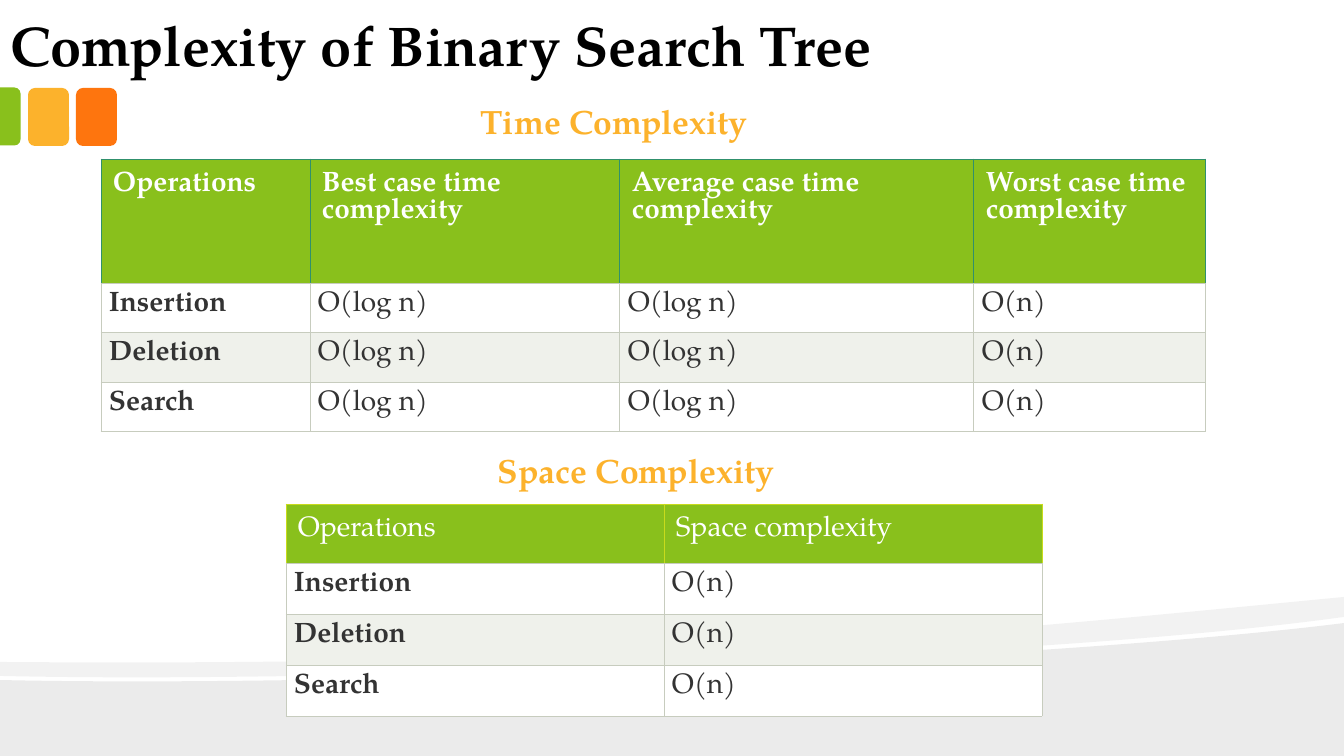
from lxml.etree import SubElement
from pptx import Presentation
from pptx.dml.color import RGBColor
from pptx.enum.shapes import MSO_SHAPE
from pptx.enum.text import MSO_ANCHOR, MSO_AUTO_SIZE, PP_ALIGN
from pptx.oxml.ns import qn
from pptx.util import Pt

SCALE = 914400 / 100.8
FONT = "TeX Gyre Pagella"
BLACK = RGBColor(0x00, 0x00, 0x00)
WHITE = RGBColor(0xFF, 0xFF, 0xFF)
GREEN = RGBColor(0x89, 0xC0, 0x1C)
AMBER = RGBColor(0xFC, 0xB2, 0x2C)
ORANGE = RGBColor(0xFE, 0x75, 0x0E)
DARK = RGBColor(0x33, 0x33, 0x33)
BAND = RGBColor(0xEF, 0xF1, 0xEB)
GRID = RGBColor(0xC7, 0xCC, 0xBE)
TEAL = RGBColor(0x30, 0x90, 0x6C)
LIME = RGBColor(0xC8, 0xDB, 0x1C)


def px(length):
    """Turn pixels into EMU."""
    return round(length * SCALE)


def paint(shape, color):
    """Give a shape a flat fill with no line or shadow."""
    shape.shadow.inherit = False
    shape.fill.solid()
    shape.fill.fore_color.rgb = color
    shape.line.fill.background()


def bend(shape, starts):
    """Turn the three segments from each start into one cubic curve."""
    lines = list(shape._element.iter(qn("a:lnTo")))
    for start in starts:
        trio = lines[start:start + 3]
        curve = SubElement(trio[0].getparent(), qn("a:cubicBezTo"))
        trio[0].addprevious(curve)
        for line in trio:
            curve.append(line[0])
            line.getparent().remove(line)


def add_wave(slide, points, starts, alpha):
    """Draw a closed outline in black, alpha percent opaque."""
    spots = [(px(x), px(y)) for x, y in points]
    pen = slide.shapes.build_freeform(*spots[0], scale=1.0)
    pen.add_line_segments(spots[1:], close=True)
    wave = pen.convert_to_shape()
    bend(wave, starts)
    paint(wave, BLACK)
    color = wave._element.spPr.find(qn("a:solidFill"))[0]
    SubElement(color, qn("a:alpha"), val=str(alpha * 1000))


def add_tab(slide, kind, box, color):
    """Add one coloured tab and return it."""
    tab = slide.shapes.add_shape(kind, *map(px, box))
    paint(tab, color)
    return tab


def style(para, size, color, bold):
    """Set the font of a paragraph."""
    font = para.font
    font.name, font.size, font.bold = FONT, Pt(size), bold
    font.color.rgb = color


def add_title(slide, text):
    """Place and format the title."""
    title = slide.shapes.title
    title.left, title.top, title.width, title.height = map(px, (-3, 1, 1045, 84))
    frame = title.text_frame
    frame.text = text
    frame.auto_size = MSO_AUTO_SIZE.NONE
    frame.vertical_anchor = MSO_ANCHOR.BOTTOM
    frame.margin_left = frame.margin_right = px(13)
    frame.margin_top = frame.margin_bottom = px(7)
    para = frame.paragraphs[0]
    para.alignment = PP_ALIGN.LEFT
    style(para, 40, BLACK, True)


def add_head(slide, text, left, top):
    """Add the heading above a table."""
    frame = slide.shapes.add_textbox(*map(px, (left, top, 683, 50))).text_frame
    frame.word_wrap = True
    frame.text = text
    style(frame.paragraphs[0], 24, AMBER, True)


def add_edge(cell, edge, color):
    """Add a thin border line; call before the cell is filled."""
    line = SubElement(cell._tc.get_or_add_tcPr(), qn("a:" + edge), w=str(Pt(0.75)))
    fill = SubElement(line, qn("a:solidFill"))
    SubElement(fill, qn("a:srgbClr"), val=str(color))


def fill_cell(cell, text, top, first, bold, edge):
    """Write and format a cell; top marks the header row."""
    for side in ("lnL", "lnR", "lnT", "lnB"):
        add_edge(cell, side, edge if top and side != "lnB" else GRID)
    inset = px(12 if top else 8)
    cell.margin_left = cell.margin_right = inset
    cell.margin_top = cell.margin_bottom = inset
    cell.text = text
    para = cell.text_frame.paragraphs[0]
    para.alignment = PP_ALIGN.LEFT if top else PP_ALIGN.JUSTIFY
    style(para, 20, WHITE if top else DARK, bold if top else first)


def add_grid(slide, left, top, widths, heights, rows, edge, bold):
    """Add a table with a green header and banded rows."""
    box = (left, top, sum(widths), sum(heights))
    table = slide.shapes.add_table(len(rows), len(widths), *map(px, box)).table
    for column, width in zip(table.columns, widths):
        column.width = px(width)
    for r, row in enumerate(rows):
        table.rows[r].height = px(heights[r])
        for c, text in enumerate(row):
            cell = table.cell(r, c)
            fill_cell(cell, text, r == 0, c == 0, bold, edge)
            cell.fill.solid()
            cell.fill.fore_color.rgb = GREEN if r == 0 else (BAND, WHITE)[r % 2]


def main():
    """Build the slide and save it."""
    deck = Presentation()
    deck.slide_width, deck.slide_height = px(1344), px(756)
    slide = deck.slides.add_slide(deck.slide_layouts[5])

    add_wave(slide, [(1344, 623), (1344, 756), (0, 756), (0, 680),
                     (355, 688), (1050, 660), (1344, 623)], [3], 8)
    add_wave(slide, [(1344, 597), (1344, 617),
                     (1265, 628), (1157, 638), (1037, 646),
                     (704, 668), (260, 682), (0, 676), (0, 662),
                     (657, 667), (979, 632), (1344, 597)], [1, 4, 8], 5)

    for left, color in ((76, ORANGE), (28, AMBER)):
        add_tab(slide, MSO_SHAPE.ROUNDED_RECTANGLE, (left, 88, 41, 58), color)
    tab = add_tab(slide, MSO_SHAPE.ROUND_2_SAME_RECTANGLE, (-19, 106, 58, 21), GREEN)
    tab.rotation = 90
    tab.adjustments[0] = 0.29

    add_title(slide, "Complexity of Binary Search Tree")
    tasks = ("Insertion", "Deletion", "Search")
    add_head(slide, "Time Complexity", 471, 96)
    cases = [f"{case} case time complexity" for case in ("Best", "Average", "Worst")]
    add_grid(slide, 101, 159, (209, 310, 354, 232), (124, 48, 49, 48),
             [("Operations", *cases)]
             + [(task, "O(log n)", "O(log n)", "O(n)") for task in tasks], TEAL, True)
    add_head(slide, "Space Complexity", 488, 445)
    add_grid(slide, 286, 504, (378, 378), (59, 51, 51, 51),
             [("Operations", "Space complexity")]
             + [(task, "O(n)") for task in tasks], LIME, False)
    deck.save("out.pptx")


main()
